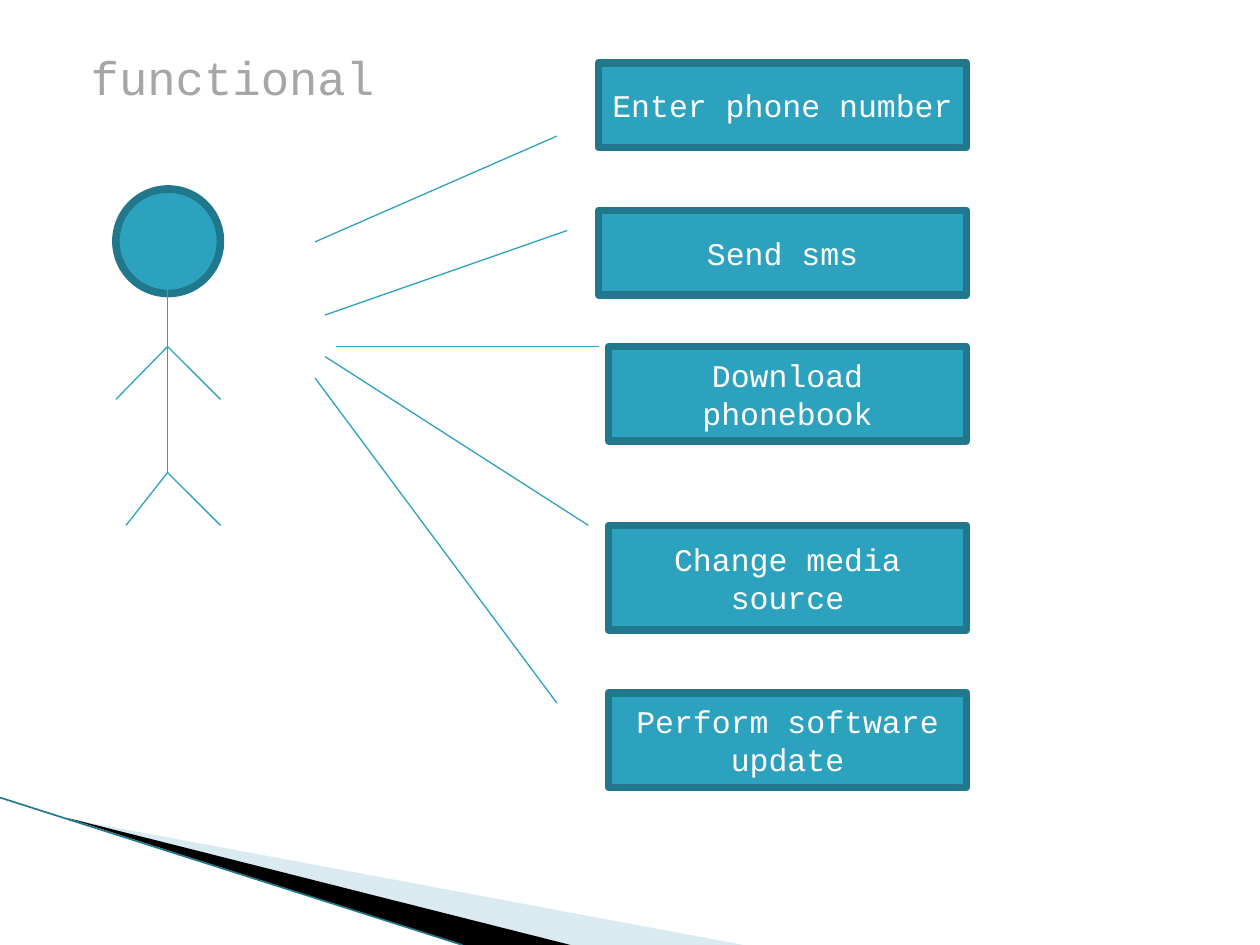
from lxml import etree
from pptx import Presentation
from pptx.dml.color import RGBColor
from pptx.enum import shapes, text
from pptx.oxml.ns import qn
from pptx.util import Inches, Pt

TEAL = RGBColor(0x2D, 0xA2, 0xBF)
DARK_TEAL = RGBColor(0x21, 0x78, 0x8D)
PALE_BLUE = RGBColor(0xA0, 0xCB, 0xDC)
GREY = RGBColor(0xA6, 0xA6, 0xA6)
WHITE = RGBColor(0xFF, 0xFF, 0xFF)
BLACK = RGBColor(0, 0, 0)
FONT = "Courier New"

prs = Presentation()
prs.slide_width, prs.slide_height = Inches(10), Inches(7.5)
slide = prs.slides.add_slide(prs.slide_layouts[5])


def add_line(x1, y1, x2, y2, color=TEAL, width=0.75):
    line = slide.shapes.add_connector(
        shapes.MSO_CONNECTOR.STRAIGHT, Inches(x1), Inches(y1), Inches(x2), Inches(y2))
    line.line.color.rgb = color
    line.line.width = Pt(width)
    etree.SubElement(line._element.spPr, qn("a:effectLst"))


def add_block(kind, left, top, width, height):
    block = slide.shapes.add_shape(
        kind, Inches(left), Inches(top), Inches(width), Inches(height))
    block.shadow.inherit = False
    block.fill.solid()
    block.fill.fore_color.rgb = TEAL
    block.line.color.rgb = DARK_TEAL
    block.line.width = Pt(4.33)
    return block


# Corner wedges
wedges = [
    ([(0.55, 6.5), (5.9, 7.5), (4.53, 7.5)], PALE_BLUE, 40),
    ([(0.53, 6.49), (4.53, 7.5), (3.67, 7.5)], BLACK, 100),
]
for corners, color, opacity in wedges:
    points = [(Inches(x), Inches(y)) for x, y in corners]
    outline = slide.shapes.build_freeform(*points[0])
    outline.add_line_segments(points[1:], close=True)
    wedge = outline.convert_to_shape()
    wedge.shadow.inherit = False
    wedge.fill.solid()
    wedge.fill.fore_color.rgb = color
    wedge.line.fill.background()
    if opacity < 100:
        srgb = wedge._element.spPr.find(".//" + qn("a:srgbClr"))
        etree.SubElement(srgb, qn("a:alpha"), val=str(opacity * 1000))
add_line(0, 6.33, 3.67, 7.5, DARK_TEAL, 0.95)

# Heading
heading = slide.shapes.title
heading.left, heading.top = Inches(0.5), Inches(0.33)
heading.width, heading.height = Inches(3.5), Inches(0.7)
frame = heading.text_frame
frame.text = "functional"
frame.vertical_anchor = text.MSO_ANCHOR.TOP
frame.margin_left = Inches(0.22)
label = frame.paragraphs[0]
label.alignment = text.PP_ALIGN.LEFT
label.space_before = Pt(4)
label.font.name, label.font.size = FONT, Pt(27)
label.font.color.rgb = GREY

# Actor: head, torso, arms and legs
add_block(shapes.MSO_SHAPE.OVAL, 0.92, 1.5, 0.83, 0.83)
spine, shoulder, hip = 1.33, 2.75, 3.75
add_line(spine, 2.25, spine, hip)
for joint, hand_or_foot in [(shoulder, 1.75), (shoulder, 0.92), (hip, 1.75), (hip, 1)]:
    add_line(spine, joint, hand_or_foot, joint + 0.42)

# Links from the actor to the use cases
for link in [
    (2.5, 1.92, 4.42, 1.08),
    (2.58, 2.5, 4.5, 1.83),
    (2.67, 2.75, 4.75, 2.75),
    (2.58, 2.83, 4.67, 4.17),
    (2.5, 3, 4.42, 5.58),
]:
    add_line(*link)

# Use cases, sharing one right edge
right_edge = 7.67
for name, left, top, height in [
    ("Enter phone number", 4.75, 0.5, 0.67),
    ("Send sms", 4.75, 1.67, 0.67),
    ("Download phonebook", 4.83, 2.75, 0.75),
    ("Change media source", 4.83, 4.17, 0.83),
    ("Perform software update", 4.83, 5.5, 0.75),
]:
    use_case = add_block(
        shapes.MSO_SHAPE.RECTANGLE, left, top, right_edge - left, height)
    frame = use_case.text_frame
    frame.text = name
    frame.word_wrap = True
    frame.vertical_anchor = text.MSO_ANCHOR.MIDDLE
    label = frame.paragraphs[0]
    label.alignment = text.PP_ALIGN.CENTER
    label.font.name, label.font.size = FONT, Pt(18)
    label.font.color.rgb = WHITE

prs.save("out.pptx")
